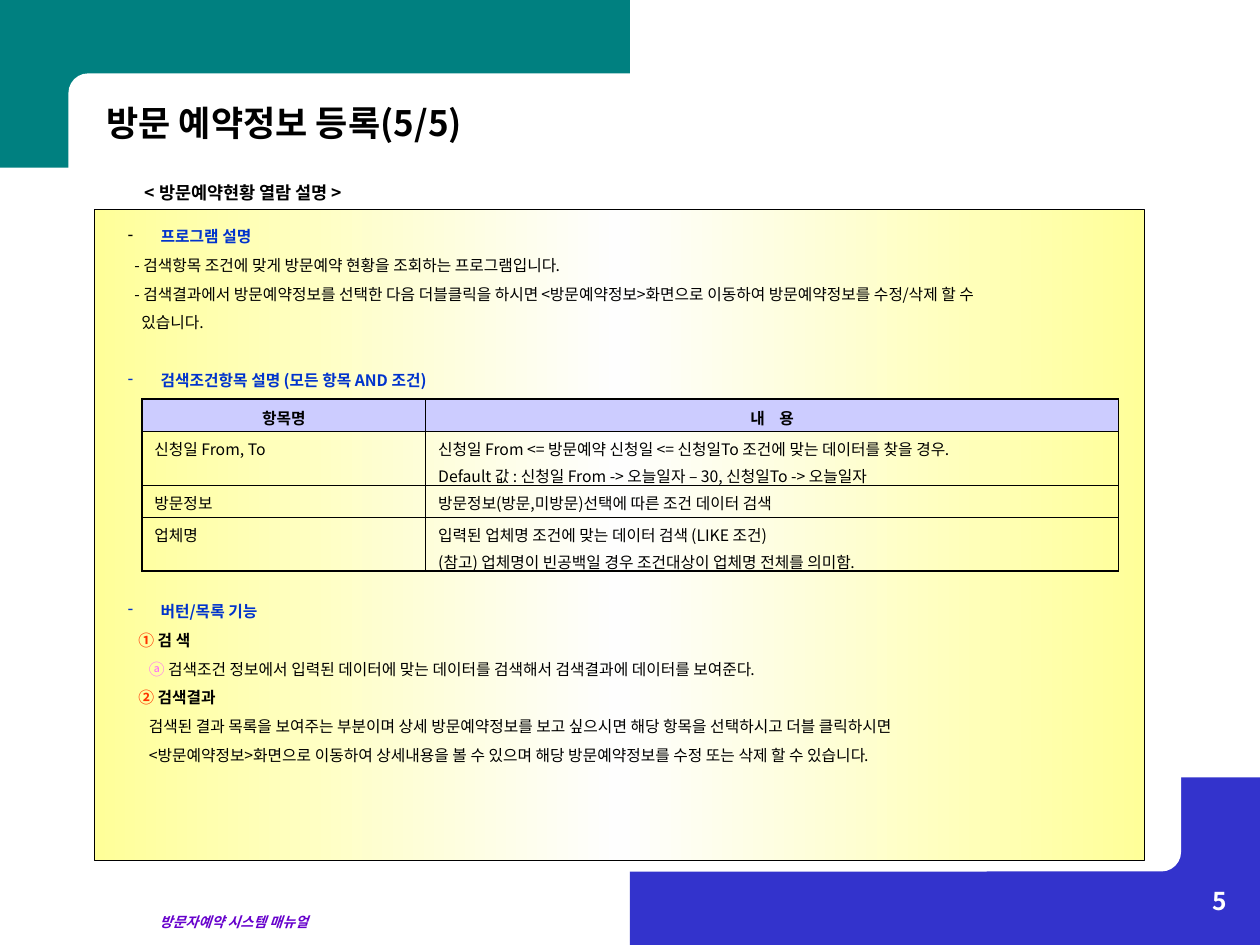
from copy import deepcopy

from pptx import Presentation
from pptx.dml.color import RGBColor
from pptx.enum.shapes import MSO_SHAPE as Preset
from pptx.enum.text import MSO_ANCHOR as Anchor, PP_ALIGN as Align
from pptx.oxml.ns import qn
from pptx.util import Cm, Pt
from lxml.etree import SubElement

FONT = "Noto Sans CJK KR"
BLACK = RGBColor(0x00, 0x00, 0x00)
WHITE = RGBColor(0xFF, 0xFF, 0xFF)
NEAR_WHITE = RGBColor(0xFE, 0xFE, 0xFE)
TEAL = RGBColor(0x00, 0x80, 0x80)
INDIGO = RGBColor(0x33, 0x33, 0xCC)
BLUE = RGBColor(0x00, 0x33, 0xCC)
PURPLE = RGBColor(0x66, 0x00, 0xCC)
ORANGE = RGBColor(0xFF, 0x33, 0x00)
PINK = RGBColor(0xFF, 0x66, 0xFF)
YELLOW = RGBColor(0xFF, 0xFF, 0x99)
LAVENDER = RGBColor(0xCC, 0xCC, 0xFF)

LINE_GAP = 5.6
BLANK_LINE = 16.5
OUTER, INNER = Pt(1.08), Pt(0.45)

# kind, text, marker, marker colour, blank lines above
BODY = [
    ("heading", "프로그램 설명", "-", BLACK, 0),
    ("note", "검색항목 조건에 맞게 방문예약 현황을 조회하는 프로그램입니다.", "- ", BLACK, 0),
    ("note", "검색결과에서 방문예약정보를 선택한 다음 더블클릭을 하시면 "
     "<방문예약정보>화면으로 이동하여 방문예약정보를 수정/삭제 할 수", "- ", BLACK, 0),
    ("continued", "있습니다.", "", BLACK, 0),
    ("heading", "검색조건항목 설명 (모든 항목 AND 조건)", "-", BLUE, 1),
    ("heading", "버턴/목록 기능", "-", BLUE, 7),
    ("step", "검 색", "① ", ORANGE, 0),
    ("detail", "검색조건 정보에서 입력된 데이터에 맞는 데이터를 검색해서 "
     "검색결과에 데이터를 보여준다.", "ⓐ ", PINK, 0),
    ("step", "검색결과", "② ", ORANGE, 0),
    ("detail", "검색된 결과 목록을 보여주는 부분이며 상세 방문예약정보를 보고 싶으시면 "
     "해당 항목을 선택하시고 더블 클릭하시면", "", BLACK, 0),
    ("detail", "<방문예약정보>화면으로 이동하여 상세내용을 볼 수 있으며 "
     "해당 방문예약정보를 수정 또는 삭제 할 수 있습니다.", "", BLACK, 0),
]
INDENTS = {"heading": 0.66, "note": 0.13, "continued": 0.27, "step": 0.21, "detail": 0.42}

CONDITIONS = [
    (["항목명"], ["내    용"]),
    (["신청일 From, To"],
     ["신청일 From <= 방문예약 신청일 <= 신청일To 조건에 맞는 데이터를 찾을 경우.",
      "Default 값 : 신청일 From -> 오늘일자 – 30, 신청일To -> 오늘일자"]),
    (["방문정보"], ["방문정보(방문,미방문)선택에 따른 조건 데이터 검색"]),
    (["업체명"],
     ["입력된 업체명 조건에 맞는 데이터 검색 (LIKE 조건)",
      "(참고) 업체명이 빈공백일 경우 조건대상이 업체명 전체를 의미함."]),
]


def add_text(paragraph, text, size=9, color=BLACK, bold=False, italic=False):
    run = paragraph.add_run()
    run.text = text
    font = run.font
    font.name, font.size, font.bold, font.italic = FONT, Pt(size), bold, italic
    font.color.rgb = color
    east_asian = SubElement(font._element, qn("a:ea"))
    east_asian.set("typeface", FONT)


def add_text_box(slide, box, anchor=Anchor.TOP):
    frame = slide.shapes.add_textbox(*map(Cm, box)).text_frame
    frame.word_wrap = True
    frame.vertical_anchor = anchor
    return frame


def add_label(slide, box, text, align=Align.LEFT, anchor=Anchor.MIDDLE, **style):
    paragraph = add_text_box(slide, box, anchor).paragraphs[0]
    paragraph.alignment = align
    add_text(paragraph, text, bold=True, **style)


def add_block(slide, preset, box, color):
    shape = slide.shapes.add_shape(preset, *map(Cm, box))
    shape.shadow.inherit = False
    shape.fill.solid()
    shape.fill.fore_color.rgb = color
    shape.line.fill.background()
    return shape


def add_panel(slide, box):
    """Framed panel, yellow at both sides and white in the middle."""
    shape = add_block(slide, Preset.RECTANGLE, box, YELLOW)
    shape.line.color.rgb = BLACK
    shape.line.width = Pt(0.75)
    fill = shape.fill
    fill.gradient()
    fill.gradient_angle = 0
    stop_list = shape._element.spPr.find(qn("a:gradFill")).find(qn("a:gsLst"))
    stop_list.insert(1, deepcopy(stop_list[0]))
    for stop, position, color in zip(fill.gradient_stops, (0, 0.5, 1),
                                     (YELLOW, NEAR_WHITE, YELLOW)):
        stop.position = position
        stop.color.rgb = color


def set_bullet(paragraph, mark, color, indent):
    properties = paragraph._p.get_or_add_pPr()
    properties.set("indent", str(-indent))
    bullet_color = SubElement(properties, qn("a:buClr"))
    SubElement(bullet_color, qn("a:srgbClr")).set("val", str(color))
    SubElement(properties, qn("a:buChar")).set("char", mark)


def add_body(slide, box):
    frame = add_text_box(slide, box)
    for index, (kind, text, marker, marker_color, blanks) in enumerate(BODY):
        paragraph = frame.add_paragraph() if index else frame.paragraphs[0]
        paragraph.space_before = Pt(LINE_GAP + blanks * BLANK_LINE)
        indent = Cm(INDENTS[kind])
        paragraph._p.get_or_add_pPr().set("marL", str(indent))
        bold = kind in ("heading", "step")
        if kind == "heading":
            set_bullet(paragraph, marker, marker_color, indent)
        elif marker:
            add_text(paragraph, marker, color=marker_color, bold=bold)
        add_text(paragraph, text, color=BLUE if kind == "heading" else BLACK, bold=bold)


def set_borders(cell, widths):
    properties = cell._tc.get_or_add_tcPr()
    for index, (side, width) in enumerate(zip(("lnL", "lnR", "lnT", "lnB"), widths)):
        line = SubElement(properties, qn(f"a:{side}"), w=str(width))
        fill = SubElement(line, qn("a:solidFill"))
        SubElement(fill, qn("a:srgbClr")).set("val", str(BLACK))
        properties.insert(index, line)


def fill_cell(cell, lines, header):
    cell.margin_top, cell.margin_bottom = Cm(0.13), Cm(0.1)
    if header:
        cell.fill.solid()
        cell.fill.fore_color.rgb = LAVENDER
    else:
        cell.fill.background()
    for index, text in enumerate(lines):
        frame = cell.text_frame
        paragraph = frame.add_paragraph() if index else frame.paragraphs[0]
        paragraph.space_before = Pt(2.2)
        paragraph.alignment = Align.CENTER if header else Align.LEFT
        add_text(paragraph, text, bold=header)


def add_conditions(slide, box):
    last_row, last_column = len(CONDITIONS) - 1, 1
    table = slide.shapes.add_table(last_row + 1, last_column + 1, *map(Cm, box)).table
    table.first_row = table.horz_banding = False
    for column, width in zip(table.columns, (5.72, 13.97)):
        column.width = Cm(width)
    for r, contents in enumerate(CONDITIONS):
        table.rows[r].height = Cm(0.64 if len(contents[1]) == 1 else 1.09)
        for c, lines in enumerate(contents):
            cell = table.cell(r, c)
            fill_cell(cell, lines, header=r == 0)
            edges = (c == 0, c == last_column, r == 0, r == last_row)
            set_borders(cell, [OUTER if edge else INNER for edge in edges])


def add_background(slide):
    add_block(slide, Preset.RECTANGLE, (12.7, 15.67, 12.7, 3.38), INDIGO)
    add_block(slide, Preset.RECTANGLE, (0, 0, 12.7, 3.38), TEAL)
    for box in ((1.38, 1.48, 11.96, 2.33), (12.06, 15.24, 11.75, 2.33)):
        add_block(slide, Preset.ROUNDED_RECTANGLE, box, WHITE).adjustments[0] = 0.17


def main():
    presentation = Presentation()
    presentation.slide_width, presentation.slide_height = Cm(25.4), Cm(19.05)
    slide = presentation.slides.add_slide(presentation.slide_layouts[6])
    add_background(slide)
    add_label(slide, (2.97, 18.29, 5.72, 0.61), "방문자예약 시스템 매뉴얼",
              size=8, color=PURPLE, italic=True)
    add_label(slide, (1.9, 1.9, 10.8, 1.12), "방문 예약정보 등록(5/5)", size=20)
    add_panel(slide, (1.9, 4.23, 21.17, 13.12))
    add_body(slide, (2.33, 4.45, 20.32, 12.37))
    add_label(slide, (2.67, 3.53, 5.4, 0.69), "< 방문예약현황 열람 설명 >", size=10)
    add_conditions(slide, (2.86, 8.05, 19.69, 3.46))
    add_label(slide, (19.69, 17.73, 5.29, 1.27), "5", align=Align.RIGHT,
              anchor=Anchor.TOP, size=14, color=WHITE)
    presentation.save("out.pptx")


if __name__ == "__main__":
    main()
